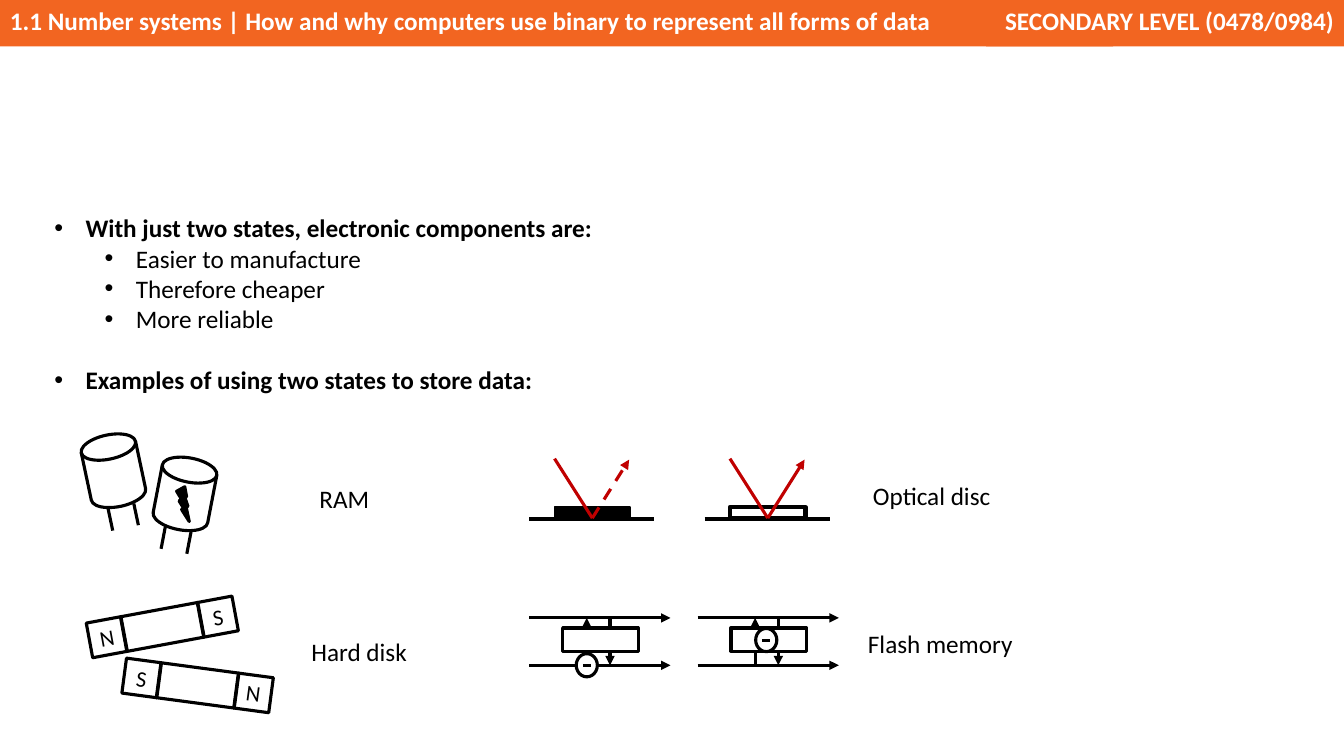
from math import cos, radians, sin

from lxml.etree import SubElement
from pptx import Presentation
from pptx.dml.color import RGBColor
from pptx.enum.dml import MSO_LINE
from pptx.enum.shapes import MSO_CONNECTOR, MSO_SHAPE as Shape
from pptx.enum.text import MSO_ANCHOR, PP_ALIGN as Align
from pptx.oxml.ns import qn
from pptx.util import Inches, Pt

BLACK, WHITE, ORANGE, RED = "000000", "FFFFFF", "F26521", "C00000"


def color(value):
    """Turn a hex string into a colour."""
    return RGBColor.from_string(value)


def set_font(paragraph, size=18, fill=BLACK, bold=False):
    """Style a whole paragraph."""
    font = paragraph.font
    font.name, font.size, font.bold = "Calibri", Pt(size), bold
    font.color.rgb = color(fill)


def add_box(slide, kind, left, top, width, height, fill=None, line=BLACK,
            weight=2.25, rotation=0):
    """Add a preset shape, unfilled unless a fill is given."""
    shape = slide.shapes.add_shape(
        kind, Inches(left), Inches(top), Inches(width), Inches(height))
    shape.shadow.inherit = False
    shape.rotation = rotation
    if fill:
        shape.fill.solid()
        shape.fill.fore_color.rgb = color(fill)
    else:
        shape.fill.background()
    if line:
        shape.line.color.rgb = color(line)
        shape.line.width = Pt(weight)
    else:
        shape.line.fill.background()
    return shape


def add_line(slide, start, end, line=BLACK, weight=2.25, arrow=False, dash=False):
    """Add a straight line, optionally with an arrowhead at its end."""
    connector = slide.shapes.add_connector(
        MSO_CONNECTOR.STRAIGHT, *(Inches(value) for value in (*start, *end)))
    connector.line.color.rgb = color(line)
    connector.line.width = Pt(weight)
    if dash:
        connector.line.dash_style = MSO_LINE.DASH
    if arrow:
        SubElement(connector.line._get_or_add_ln(), qn("a:tailEnd"), type="triangle")
    SubElement(connector._element.spPr, qn("a:effectLst"))
    return connector


def add_header(slide, text, left, width, align):
    """Add one part of the orange title bar."""
    bar = add_box(slide, Shape.RECTANGLE, left, 0, width, 0.46, ORANGE, None)
    frame = bar.text_frame
    frame.vertical_anchor = MSO_ANCHOR.TOP
    paragraph = frame.paragraphs[0]
    paragraph.text, paragraph.alignment = text, align
    set_font(paragraph, fill=WHITE, bold=True)


def add_text_frame(slide, left, top, width, height):
    """Add a wrapping text box and return its frame."""
    frame = slide.shapes.add_textbox(
        Inches(left), Inches(top), Inches(width), Inches(height)).text_frame
    frame.word_wrap = True
    return frame


def add_label(slide, text, left, top, width):
    """Name a storage example."""
    paragraph = add_text_frame(slide, left, top, width, 0.4).paragraphs[0]
    paragraph.text = text
    set_font(paragraph)


def add_bullets(slide, items):
    """Add the two-level list from (text, level, space before) items."""
    frame = add_text_frame(slide, 0.44, 2.06, 12.33, 1.92)
    for index, (text, level, space) in enumerate(items):
        paragraph = frame.add_paragraph() if index else frame.paragraphs[0]
        paragraph.text, paragraph.level = text, level
        paragraph.space_before = Pt(space)
        properties = paragraph._p.get_or_add_pPr()
        properties.set("marL", str(Inches(0.31 + 0.5 * level)))
        properties.set("indent", str(Inches(-0.31)))
        SubElement(properties, qn("a:buFont"), typeface="Arial")
        SubElement(properties, qn("a:buChar"), char="•")
        set_font(paragraph, bold=level == 0)


def rotate(center, x, y, angle):
    """Place an offset from a center after turning it by degrees."""
    turn = radians(angle)
    return (center[0] + x * cos(turn) - y * sin(turn),
            center[1] + x * sin(turn) + y * cos(turn))


def add_capacitor(slide, left, top, angle, charged):
    """Draw a tilted capacitor with two legs."""
    add_box(slide, Shape.FLOWCHART_MAGNETIC_DISK, left, top, 0.55, 0.72, rotation=angle)
    center = left + 0.275, top + 0.36
    for x in (-0.13, 0.13):
        add_line(slide, rotate(center, x, 0.36, angle), rotate(center, x, 0.58, angle))
    if charged:
        add_box(slide, Shape.LIGHTNING_BOLT, left + 0.17, top + 0.29, 0.18, 0.33,
                BLACK, rotation=angle)


def add_magnet(slide, center, angle, poles):
    """Draw a tilted bar magnet with a lettered pole at each end."""
    for x, width, letter in ((-0.56, 0.35, poles[0]), (0, 0.78, ""), (0.56, 0.35, poles[1])):
        middle_x, middle_y = rotate(center, x, 0, angle)
        part = add_box(slide, Shape.RECTANGLE, middle_x - width / 2, middle_y - 0.175,
                       width, 0.35, rotation=angle)
        if letter:
            frame = part.text_frame
            frame.margin_left = frame.margin_right = Inches(0.04)
            frame.margin_top = frame.margin_bottom = Inches(0.04)
            frame.vertical_anchor = MSO_ANCHOR.MIDDLE
            paragraph = frame.paragraphs[0]
            paragraph.text, paragraph.alignment = letter, Align.CENTER
            set_font(paragraph, 16)


def add_disc_spot(slide, left, fill, weight, dash):
    """Draw a disc surface with a laser ray bouncing off its spot."""
    add_line(slide, (left, 5.15), (left + 1.24, 5.15), weight=3)
    spot = add_box(slide, Shape.RECTANGLE, left + 0.25, 5.03, 0.75, 0.11, fill, weight=weight)
    hit = left + 0.62, 5.14
    incoming = add_line(slide, (left + 0.25, 4.55), hit, RED)
    incoming.end_connect(spot, 2)
    reflected = add_line(slide, hit, (left + 0.99, 4.56), RED, arrow=True, dash=dash)
    reflected.begin_connect(spot, 2)


def add_flash_cell(slide, left, electron_x, electron_y):
    """Draw a flash cell with its electron centered at the given offset and height."""
    for start, end in (((0, 6.13), (1.4, 6.13)), ((0, 6.6), (1.4, 6.6)),
                       ((0.57, 6.6), (0.57, 6.13)), ((0.8, 6.13), (0.8, 6.6))):
        add_line(slide, (left + start[0], start[1]), (left + end[0], end[1]), arrow=True)
    add_box(slide, Shape.RECTANGLE, left + 0.33, 6.23, 0.75, 0.23, WHITE)
    x = left + electron_x
    add_box(slide, Shape.OVAL, x - 0.105, electron_y - 0.115, 0.21, 0.23, WHITE)
    add_line(slide, (x - 0.04, electron_y), (x + 0.04, electron_y))


def main():
    """Build and save the slide."""
    presentation = Presentation()
    presentation.slide_width, presentation.slide_height = Inches(13.33), Inches(7.5)
    slide = presentation.slides.add_slide(presentation.slide_layouts[6])

    add_header(slide, "1.1 Number systems | How and why computers use binary "
               "to represent all forms of data", 0, 11.04, Align.LEFT)
    add_header(slide, "SECONDARY LEVEL (0478/0984)", 9.78, 3.55, Align.RIGHT)
    add_bullets(slide, [
        ("With just two states, electronic components are:", 0, 0),
        ("Easier to manufacture", 1, 0),
        ("Therefore cheaper", 1, 0),
        ("More reliable", 1, 0),
        ("Examples of using two states to store data:", 0, 22),
    ])

    add_capacitor(slide, 0.85, 4.31, -12, charged=False)
    add_capacitor(slide, 1.56, 4.54, 10.9, charged=True)
    add_magnet(slide, (1.61, 6.22), -10.5, "NS")
    add_magnet(slide, (1.96, 6.8), 7.6, "SN")
    add_disc_spot(slide, 5.25, BLACK, 1, dash=True)
    add_disc_spot(slide, 6.99, None, 3, dash=False)
    add_flash_cell(slide, 5.25, 0.57, 6.6)
    add_flash_cell(slide, 6.92, 0.68, 6.35)

    for text, left, top, width in (("RAM", 3.07, 4.75, 0.92), ("Hard disk", 2.99, 6.26, 1.34),
                                   ("Optical disc", 8.56, 4.72, 1.38),
                                   ("Flash memory", 8.51, 6.18, 1.91)):
        add_label(slide, text, left, top, width)
    presentation.save("out.pptx")


if __name__ == "__main__":
    main()
